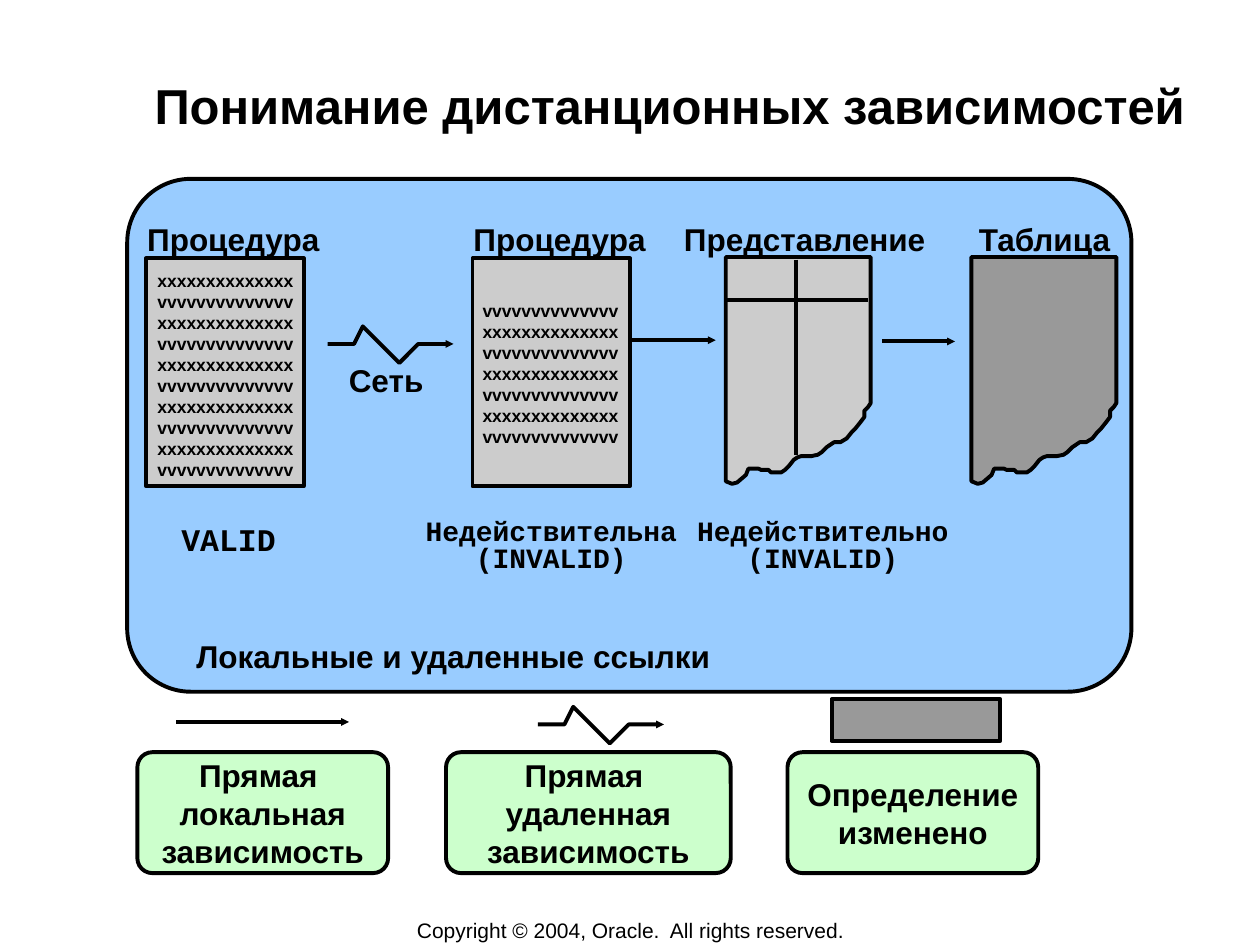
import pptx
import pptx.util
import pptx.dml.color
import pptx.enum.shapes
import pptx.enum.text
import pptx.oxml.ns
from lxml import etree

Inches = pptx.util.Inches
AUTO_SHAPE = pptx.enum.shapes.MSO_SHAPE
ALIGN = pptx.enum.text.PP_ALIGN
ANCHOR = pptx.enum.text.MSO_ANCHOR
COLOURS = {
    "ink": "000000",
    "panel": "99CCFF",
    "legend": "CCFFCC",
    "invalid": "CCCCCC",
    "changed": "999999",
}

presentation = pptx.Presentation()
presentation.slide_width = Inches(10)
presentation.slide_height = Inches(7.5)
slide = presentation.slides.add_slide(presentation.slide_layouts[6])


def add_text(text, box=None, shape=None, size=18, font="Arial", bold=True, align=ALIGN.LEFT,
             anchor=ANCHOR.TOP, wrap=False, spacing=None, margins=(0.1, 0.05)):
    if shape is None:
        shape = slide.shapes.add_textbox(*map(Inches, box))
    frame = shape.text_frame
    frame.word_wrap = wrap
    frame.vertical_anchor = anchor
    frame.margin_left = frame.margin_right = Inches(margins[0])
    frame.margin_top = frame.margin_bottom = Inches(margins[1])
    frame.text = text
    for paragraph in frame.paragraphs:
        paragraph.alignment = align
        if spacing:
            paragraph.line_spacing = spacing
        paragraph.font.size = pptx.util.Pt(size)
        paragraph.font.name = font
        paragraph.font.bold = bold
        paragraph.font.color.rgb = pptx.dml.color.RGBColor.from_string(COLOURS["ink"])


def style_outline(shape, fill=None, arrow=False):
    if fill:
        shape.fill.solid()
        shape.fill.fore_color.rgb = pptx.dml.color.RGBColor.from_string(COLOURS[fill])
    shape.line.width = pptx.util.Pt(2.25)
    shape.line.color.rgb = pptx.dml.color.RGBColor.from_string(COLOURS["ink"])
    properties = shape._element.spPr
    if arrow:
        line = properties.find(pptx.oxml.ns.qn("a:ln"))
        etree.SubElement(line, pptx.oxml.ns.qn("a:tailEnd"), type="triangle", w="sm", len="sm")
    etree.SubElement(properties, pptx.oxml.ns.qn("a:effectLst"))


add_text("Copyright © 2004, Oracle.  All rights reserved.", (2.76, 7.28, 4.49, 0.21),
         size=12, bold=False, align=ALIGN.CENTER, anchor=ANCHOR.MIDDLE)
add_text("Понимание дистанционных зависимостей", (0.97, 0.59, 8.69, 0.95),
         size=28, align=ALIGN.CENTER, wrap=True, margins=(0.01, 0.01))

panel = slide.shapes.add_shape(AUTO_SHAPE.ROUNDED_RECTANGLE, *map(Inches, (1.01, 1.42, 7.97, 4.07)))
panel.adjustments[0] = 0.124
style_outline(panel, "panel")

code_lines = ["xxxxxxxxxxxxxx", "vvvvvvvvvvvvvv"] * 5
for left, text_left, text_top, lines in ((1.16, 1.17, 2.1, code_lines),
                                         (3.75, 3.75, 2.34, code_lines[1:8])):
    procedure = slide.shapes.add_shape(AUTO_SHAPE.RECTANGLE, *map(Inches, (left, 2.05, 1.25, 1.81)))
    style_outline(procedure, "invalid")
    add_text("\n".join(lines), (text_left, text_top, 1.24, 0.16 * len(lines) + 0.08),
             size=10, margins=(0.08, 0.04))

torn_page = [
    (115, 116), (115, 0), (0, 0), (0, 178), (5, 180), (9, 179), (16, 173), (18, 168),
    (26, 168), (28, 169), (34, 169), (36, 171), (44, 171), (47, 169), (50, 166), (54, 161),
    (57, 159), (60, 158), (68, 158), (73, 157), (76, 155), (80, 151), (86, 147), (91, 147),
    (96, 144), (100, 139), (103, 136), (107, 131), (110, 127), (110, 122), (113, 119),
]
for left, fill in ((576, "invalid"), (771, "changed")):
    points = [(left + x, 204 + y) for x, y in torn_page]
    builder = slide.shapes.build_freeform(*points[0], scale=Inches(0.01))
    builder.add_line_segments(points[1:], close=True)
    style_outline(builder.convert_to_shape(), fill)

for left, top in ((260, 259), (427, 561)):
    builder = slide.shapes.build_freeform(left, top + 14, scale=Inches(0.01))
    builder.add_line_segments(
        [(left + x, top + y) for x, y in ((21, 14), (28, 0), (57, 29), (72, 14), (100, 14))],
        close=False)
    network = builder.convert_to_shape()
    network.fill.background()
    style_outline(network, arrow=True)

for start_x, start_y, end_x, end_y, arrow in (
    (5.02, 2.7, 5.68, 2.7, True),
    (7, 2.71, 7.58, 2.71, True),
    (1.4, 5.73, 2.77, 5.73, True),
    (6.32, 2.06, 6.32, 3.61, False),
    (5.77, 2.38, 6.89, 2.38, False),
):
    connector = slide.shapes.add_connector(
        pptx.enum.shapes.MSO_CONNECTOR.STRAIGHT, *map(Inches, (start_x, start_y, end_x, end_y)))
    style_outline(connector, arrow=arrow)

for text, left, top, width in (
    ("Процедура", 1.07, 1.7, 1.57),
    ("Процедура", 3.66, 1.7, 1.57),
    ("Представление", 5.33, 1.7, 2.13),
    ("Таблица", 7.67, 1.7, 1.25),
    ("Сеть", 2.67, 2.82, 0.8),
    ("Локальные и удаленные ссылки", 1.46, 5.01, 4.29),
):
    add_text(text, (left, top, width, 0.4))

add_text("VALID", (1.34, 4.08, 0.95, 0.4), font="Courier New")
for text, left, width in (("Недействительна (INVALID)", 3.17, 2.41),
                          ("Недействительно (INVALID)", 5.39, 2.28)):
    add_text(text, (left, 4.08, width, 0.53), size=16, font="Courier New",
             align=ALIGN.CENTER, wrap=True, spacing=0.8)

for text, left, width in (
    ("Прямая \nлокальная\nзависимость", 1.09, 1.99),
    ("Прямая \nудаленная\nзависимость", 3.54, 2.26),
    ("Определение\nизменено", 6.25, 1.99),
):
    legend = slide.shapes.add_shape(AUTO_SHAPE.ROUNDED_RECTANGLE, *map(Inches, (left, 5.97, width, 0.96)))
    legend.adjustments[0] = 0.124
    style_outline(legend, "legend")
    add_text(text, shape=legend, align=ALIGN.CENTER, anchor=ANCHOR.MIDDLE)

changed_sample = slide.shapes.add_shape(AUTO_SHAPE.RECTANGLE, *map(Inches, (6.6, 5.55, 1.34, 0.33)))
style_outline(changed_sample, "changed")

presentation.save("out.pptx")
